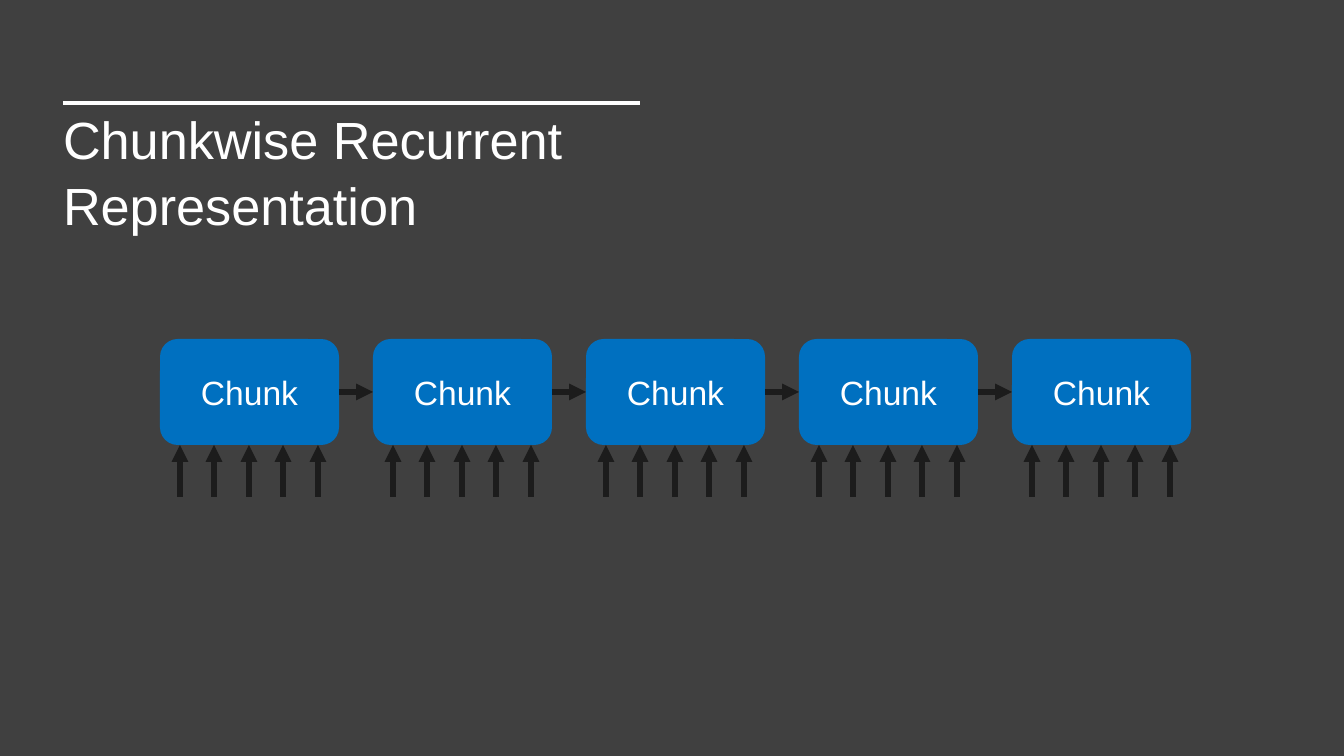
from lxml.etree import SubElement
from pptx import Presentation
from pptx.dml.color import RGBColor
from pptx.enum.shapes import MSO_CONNECTOR, MSO_SHAPE
from pptx.enum.text import MSO_ANCHOR, PP_ALIGN
from pptx.oxml.ns import qn
from pptx.util import Pt

PX = 914400 / 134.4
COLORS = {k: RGBColor.from_string(v) for k, v in {
    "background": "404040", "text": "FFFFFF", "chunk": "0070C0", "arrow": "1C1C1C"}.items()}


def add_line(shapes, points, color, width, arrow=True):
    sp = shapes.add_connector(MSO_CONNECTOR.STRAIGHT, *[round(v * PX) for v in points])
    sp.line.color.rgb = COLORS[color]
    sp.line.width = Pt(width)
    if arrow:
        SubElement(sp.line._get_or_add_ln(), qn("a:tailEnd"), type="triangle")
    SubElement(sp._element.spPr, qn("a:effectLst"))


def set_text(sp, text, size, frame, paragraph):
    tf = sp.text_frame
    p = tf.paragraphs[0]
    r = p.add_run()
    r.text = text
    r.font.color.rgb = COLORS["text"]
    font = {"name": "Arial", "size": Pt(size)}
    for target, values in ((tf, frame), (p, paragraph), (r.font, font)):
        for name, value in values.items():
            setattr(target, name, value)


prs = Presentation()
prs.slide_width, prs.slide_height = round(1344 * PX), round(756 * PX)
slide = prs.slides.add_slide(prs.slide_layouts[6])
slide.background.fill.solid()
slide.background.fill.fore_color.rgb = COLORS["background"]

# Title under its rule
add_line(slide.shapes, (63, 103, 640, 103), "text", 2, arrow=False)
sp = slide.shapes.add_textbox(*[round(v * PX) for v in (63, 104, 577, 81)])
margins = dict.fromkeys(("margin_left", "margin_top", "margin_right", "margin_bottom"), 0)
set_text(sp, "Chunkwise Recurrent Representation", 28,
         {"word_wrap": True, **margins}, {"line_spacing": 1.05, "space_after": Pt(8)})

# Chunks, each fed by five input arrows
COUNT, INPUTS = 5, 5
LEFT, TOP, WIDTH, HEIGHT, PITCH = 160, 339, 179, 106, 213
for i in range(COUNT):
    x = LEFT + i * PITCH
    group = slide.shapes.add_group_shape()
    sp = group.shapes.add_shape(MSO_SHAPE.ROUNDED_RECTANGLE,
                                *[round(v * PX) for v in (x, TOP, WIDTH, HEIGHT)])
    sp.shadow.inherit = False
    sp.fill.solid()
    sp.fill.fore_color.rgb = COLORS["chunk"]
    sp.line.fill.background()
    set_text(sp, "Chunk", 18, {"vertical_anchor": MSO_ANCHOR.MIDDLE},
             {"alignment": PP_ALIGN.CENTER})
    for j in range(INPUTS):
        input_x = x + 20 + j * 69 // 2
        add_line(group.shapes, (input_x, 497, input_x, TOP + HEIGHT), "arrow", 3)

# Recurrent links between neighbouring chunks
for i in range(COUNT - 1):
    x = LEFT + i * PITCH
    y = TOP + HEIGHT // 2
    add_line(slide.shapes, (x + WIDTH, y, x + PITCH, y), "arrow", 3)

prs.save("out.pptx")
